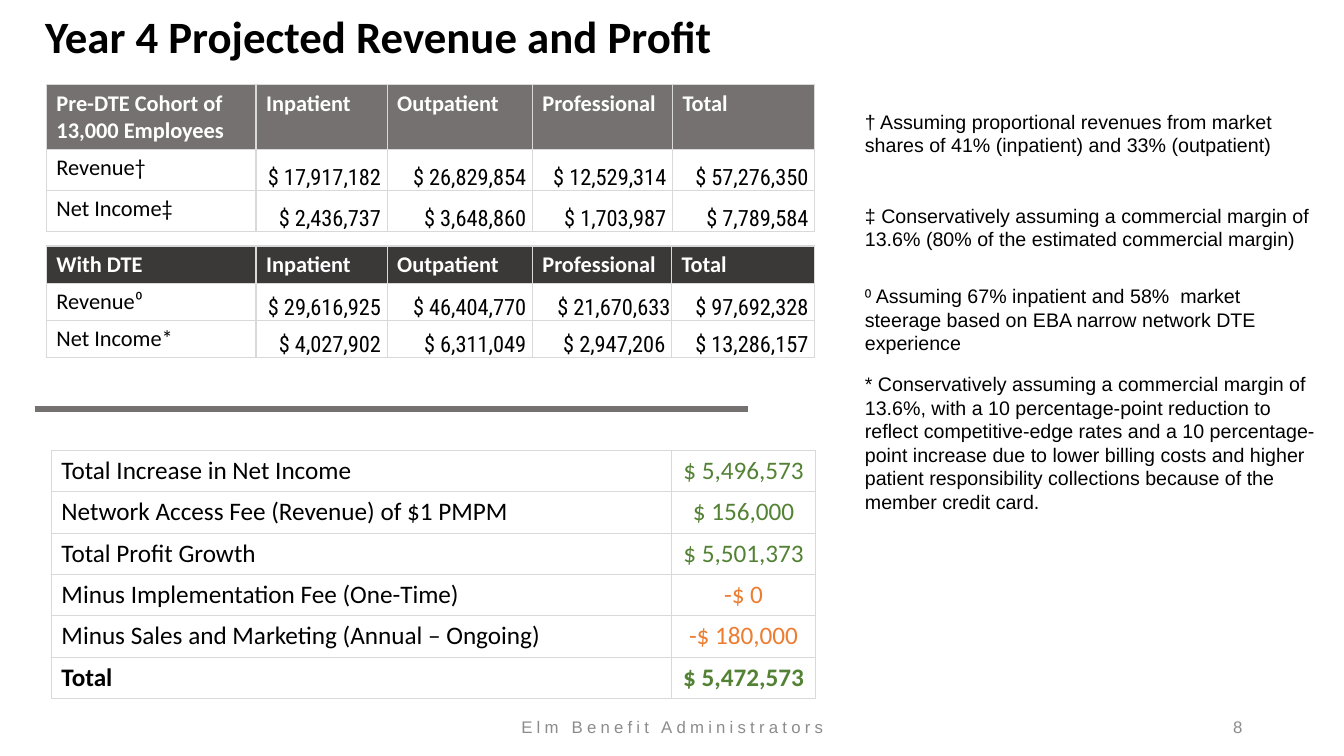
from lxml import etree
from pptx import Presentation
from pptx.dml.color import RGBColor
from pptx.enum.shapes import MSO_CONNECTOR
from pptx.enum.text import MSO_ANCHOR, PP_ALIGN
from pptx.oxml.ns import qn
from pptx.util import Pt

PX = 9144
LEFT, CENTER, RIGHT = PP_ALIGN.LEFT, PP_ALIGN.CENTER, PP_ALIGN.RIGHT
TOP, MIDDLE, BOTTOM = MSO_ANCHOR.TOP, MSO_ANCHOR.MIDDLE, MSO_ANCHOR.BOTTOM
STRAIGHT = MSO_CONNECTOR.STRAIGHT

BLACK, WHITE, GRAY, BORDER = "000000", "FFFFFF", "767171", "D9D9D9"
DARK, MUTED, GREEN, ORANGE = "3B3838", "8C8C8C", "548235", "ED7D31"

SERVICES = ["Inpatient", "Outpatient", "Professional", "Total"]
COHORT = [
    ["Pre-DTE Cohort of 13,000 Employees", *SERVICES],
    ["Revenue†", "$ 17,917,182 ", "$ 26,829,854 ", "$ 12,529,314 ", "$ 57,276,350 "],
    ["Net Income‡", "$ 2,436,737 ", "$ 3,648,860 ", "$ 1,703,987 ", "$ 7,789,584 "],
]
WITH_DTE = [
    ["With DTE", *SERVICES],
    ["Revenue⁰", "$ 29,616,925 ", "$ 46,404,770 ", "$ 21,670,633", "$ 97,692,328 "],
    ["Net Income*", "$ 4,027,902 ", "$ 6,311,049 ", "$ 2,947,206 ", "$ 13,286,157 "],
]
PROFIT = [
    ("Total Increase in Net Income", "$ 5,496,573"),
    ("Network Access Fee (Revenue) of $1 PMPM", "$ 156,000"),
    ("Total Profit Growth", "$ 5,501,373"),
    ("Minus Implementation Fee (One-Time)", "-$ 0"),
    ("Minus Sales and Marketing (Annual – Ongoing)", "-$ 180,000"),
    ("Total", "$ 5,472,573"),
]
NOTES = [
    (104, 81, "† Assuming proportional revenues from market shares of 41% (inpatient) "
     "and 33% (outpatient)"),
    (197, 57, "‡ Conservatively assuming a commercial margin of 13.6% (80% of the "
     "estimated commercial margin)"),
    (277, 80, "⁰ Assuming 67% inpatient and 58%  market steerage based on EBA narrow "
     "network DTE experience"),
    (364, 151, "* Conservatively assuming a commercial margin of 13.6%, with a 10 "
     "percentage-point reduction to reflect competitive-edge rates and a 10 "
     "percentage-point increase due to lower billing costs and higher patient "
     "responsibility collections because of the member credit card."),
]


def rgb(value):
    """Turn a hex string into a colour."""
    return RGBColor.from_string(value)


def write(frame, text, size=14, font="Arial", color=BLACK, bold=False, align=LEFT, spacing=0):
    """Write one formatted paragraph into a text frame."""
    paragraph = frame.paragraphs[0]
    paragraph.alignment = align
    run = paragraph.add_run()
    run.text = text
    run.font.size, run.font.name, run.font.bold = Pt(size), font, bold
    run.font.color.rgb = rgb(color)
    if spacing:
        run.font._element.set("spc", str(spacing * 100))


def add_text(slide, box, text, anchor=TOP, wrap=True, **style):
    """Add a text box at left, top, width, height."""
    frame = slide.shapes.add_textbox(*(length * PX for length in box)).text_frame
    frame.word_wrap, frame.vertical_anchor = wrap, anchor
    write(frame, text, **style)


def add_rule(slide, left, right, top):
    """Draw the thick divider between the tables."""
    rule = slide.shapes.add_connector(STRAIGHT, left * PX, top * PX, right * PX, top * PX)
    rule.line.color.rgb, rule.line.width = rgb(GRAY), Pt(4.5)
    etree.SubElement(rule._element.spPr, qn("a:effectLst"))


def style_cell(cell, fill=None):
    """Give a cell thin borders and an optional fill."""
    properties = cell._tc.get_or_add_tcPr()
    for side in ("lnL", "lnR", "lnT", "lnB"):
        edge = etree.SubElement(properties, qn(f"a:{side}"), w=str(Pt(1)))
        solid = etree.SubElement(edge, qn("a:solidFill"))
        etree.SubElement(solid, qn("a:srgbClr"), val=BORDER)
    if fill:
        cell.fill.solid()
        cell.fill.fore_color.rgb = rgb(fill)
    else:
        cell.fill.background()


def add_grid(slide, left, top, widths, heights):
    """Add an unstyled table sized by its columns and rows."""
    table = slide.shapes.add_table(len(heights), len(widths), left * PX, top * PX,
                                   sum(widths) * PX, sum(heights) * PX).table
    table.first_row = table.horz_banding = False
    for column, width in zip(table.columns, widths):
        column.width = width * PX
    for row, height in zip(table.rows, heights):
        row.height = height * PX
    return table


def add_revenue_table(slide, top, widths, heights, rows, header_fill):
    """Add a revenue table with a header row and right-aligned amounts."""
    table = add_grid(slide, 46, top, widths, heights)
    for r, row in enumerate(rows):
        for c, text in enumerate(row):
            cell = table.cell(r, c)
            style_cell(cell, None if r else header_fill)
            if r and c:
                cell.vertical_anchor = BOTTOM
                cell.margin_left = cell.margin_right = cell.margin_top = PX
                cell.margin_bottom = 0
                write(cell.text_frame, text, size=16, font="Roboto Condensed", align=RIGHT)
            else:
                write(cell.text_frame, text, size=16, font="Calibri",
                      color=BLACK if r else WHITE, bold=r == 0)


def add_profit_table(slide):
    """Add the steps from net income to total profit."""
    table = add_grid(slide, 51, 447, [615, 143], [41] * len(PROFIT))
    for r, (label, amount) in enumerate(PROFIT):
        color = ORANGE if amount.startswith("-") else GREEN
        for c, (text, look) in enumerate([(label, {}), (amount, {"color": color, "align": CENTER})]):
            cell = table.cell(r, c)
            style_cell(cell)
            write(cell.text_frame, text, size=18, font="Calibri", bold=label == "Total", **look)


def main():
    """Build and save the slide."""
    deck = Presentation()
    deck.slide_width, deck.slide_height = 1333 * PX, 750 * PX
    slide = deck.slides.add_slide(deck.slide_layouts[6])

    add_text(slide, (35, 4, 688, 64), "Year 4 Projected Revenue and Profit",
             wrap=False, size=32, font="Calibri", bold=True)
    add_revenue_table(slide, 84, [208, 130, 144, 139, 141], [64, 41, 41], COHORT, GRAY)
    add_revenue_table(slide, 244, [208, 130, 144, 138, 142], [37] * 3, WITH_DTE, DARK)
    add_rule(slide, 35, 742, 406)
    add_profit_table(slide)
    for top, height, note in NOTES:
        add_text(slide, (848, top, 472, height), note)
    add_text(slide, (442, 708, 450, 27), "Elm Benefit Administrators", anchor=MIDDLE,
             size=12, color=MUTED, align=CENTER, spacing=3)
    add_text(slide, (942, 708, 300, 27), "8", anchor=MIDDLE, size=12, color=MUTED, align=RIGHT)
    deck.save("out.pptx")


if __name__ == "__main__":
    main()
